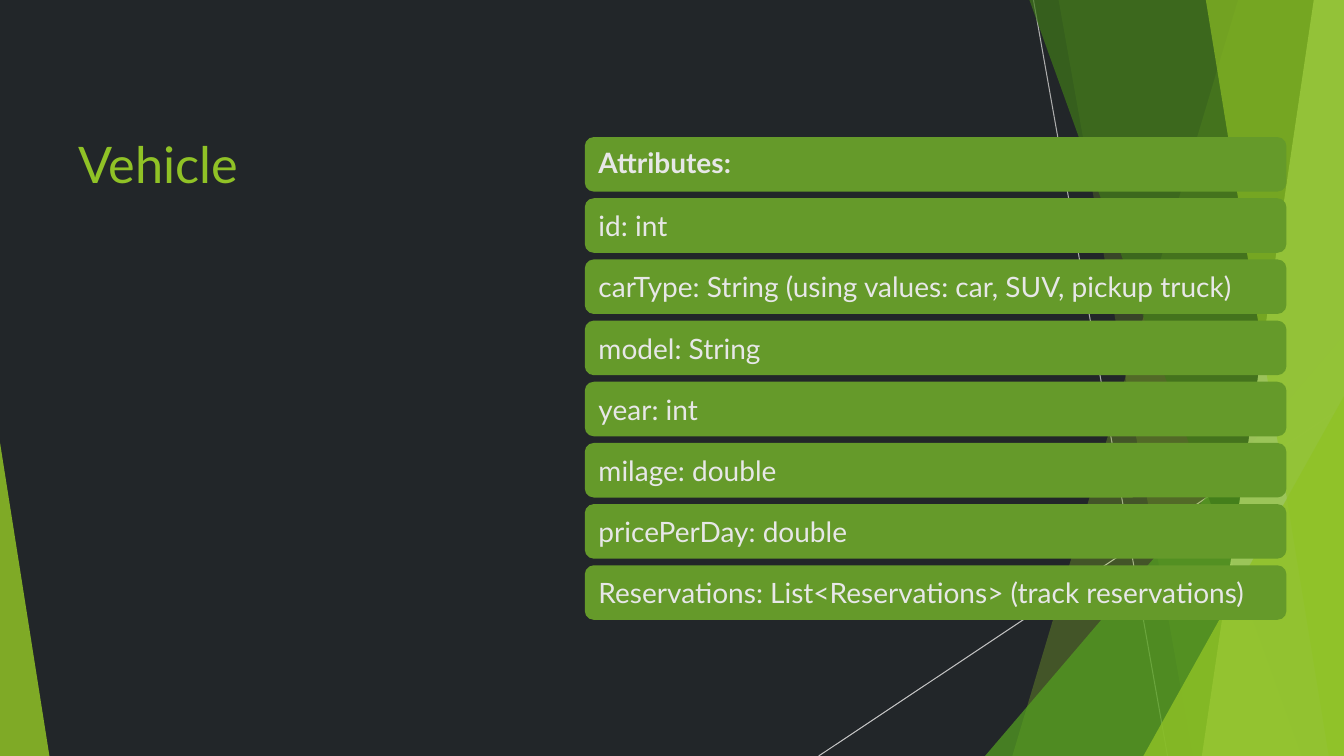
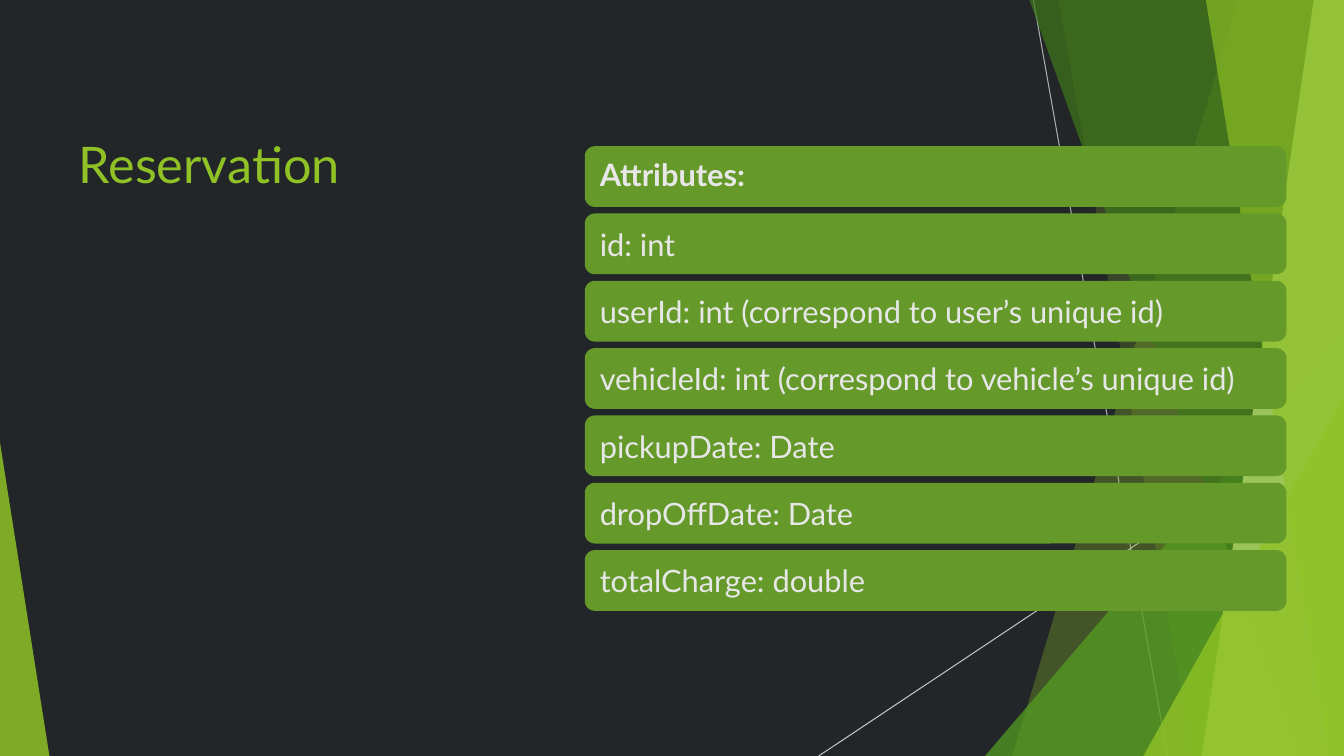
from pptx import Presentation
from pptx.dml.color import RGBColor
from pptx.enum.shapes import MSO_CONNECTOR, MSO_SHAPE
from pptx.enum.text import MSO_ANCHOR, PP_ALIGN
from pptx.oxml.ns import qn
from pptx.oxml.xmlchemy import OxmlElement
from pptx.util import Inches, Pt

SLIDE_WIDTH, SLIDE_HEIGHT = 13.33, 7.5
FONT = "Lato"
BACKGROUND = RGBColor(0x22, 0x26, 0x29)
LIME = RGBColor(0x90, 0xC2, 0x26)
GREEN = RGBColor(0x54, 0xA0, 0x21)
FOREST = RGBColor(0x3F, 0x78, 0x19)
PALE_LIME = RGBColor(0xC0, 0xE4, 0x74)
ROW_GREEN = RGBColor(0x65, 0x9A, 0x2A)
ROW_TEXT = RGBColor(0xE7, 0xE7, 0xE7)
STEEP_LINE = RGBColor(0xAD, 0xAD, 0xAD)
SHALLOW_LINE = RGBColor(0xC4, 0xC4, 0xC4)

TITLE_BOX = (0.68, 1.27, 3.94, 4.95)
ROW_GAP = 0.065

CLASSES = [
    {
        "title": "Vehicle",
        "box": (5.8, 1.36, 6.96, 4.79),
        "size": 20,
        "inset": 0.11,
        "attributes": [
            "id: int",
            "carType: String (using values: car, SUV, pickup truck)",
            "model: String",
            "year: int",
            "milage: double",
            "pricePerDay: double",
            "Reservations: List<Reservations> (track reservations)",
        ],
    },
    {
        "title": "Reservation",
        "box": (5.8, 1.45, 6.96, 4.61),
        "size": 22,
        "inset": 0.12,
        "attributes": [
            "id: int",
            "userId: int (correspond to user’s unique id)",
            "vehicleId: int (correspond to vehicle’s unique id)",
            "pickupDate: Date",
            "dropOffDate: Date",
            "totalCharge: double",
        ],
    },
]


def paint(shape, color, opacity=100):
    shape.shadow.inherit = False
    shape.line.fill.background()
    shape.fill.solid()
    shape.fill.fore_color.rgb = color
    if opacity < 100:
        alpha = OxmlElement("a:alpha")
        alpha.set("val", str(opacity * 1000))
        next(shape.element.iter(qn("a:srgbClr"))).append(alpha)


def add_line(slide, start, end, color):
    points = [Inches(value) for value in (*start, *end)]
    line = slide.shapes.add_connector(MSO_CONNECTOR.STRAIGHT, *points)
    line.line.color.rgb = color
    line.line.width = Pt(0.75)
    line.element.spPr.append(OxmlElement("a:effectLst"))


def add_band(slide, top_left, bottom_left, color, opacity):
    builder = slide.shapes.build_freeform(Inches(top_left), 0)
    corners = [(SLIDE_WIDTH, 0), (SLIDE_WIDTH, SLIDE_HEIGHT), (bottom_left, SLIDE_HEIGHT)]
    builder.add_line_segments([(Inches(x), Inches(y)) for x, y in corners])
    paint(builder.convert_to_shape(), color, opacity)


def add_corner(slide, left, top, width, apex, color, opacity):
    triangle = slide.shapes.add_shape(
        MSO_SHAPE.ISOSCELES_TRIANGLE,
        Inches(left), Inches(top), Inches(width), Inches(SLIDE_HEIGHT - top),
    )
    triangle.adjustments[0] = apex
    paint(triangle, color, opacity)


def add_facets(slide):
    add_line(slide, (10.25, 0), (11.58, SLIDE_HEIGHT), STEEP_LINE)
    add_line(slide, (SLIDE_WIDTH, 4.03), (8.12, SLIDE_HEIGHT), SHALLOW_LINE)
    add_band(slide, 12.28, 10.04, LIME, 30)
    add_band(slide, 10.5, 11.83, LIME, 20)
    add_corner(slide, 9.77, 3.33, 3.56, 1, GREEN, 72)
    add_band(slide, 10.21, 12.91, FOREST, 70)
    add_band(slide, 13.03, 11.92, PALE_LIME, 70)
    add_band(slide, 11.96, 13.18, LIME, 65)
    add_corner(slide, 11.34, 3.93, 1.99, 1, LIME, 80)
    add_corner(slide, 0, 4.39, 0.49, 0, LIME, 85)


def add_text(paragraph, text, size, color, bold=False):
    paragraph.alignment = PP_ALIGN.LEFT
    run = paragraph.add_run()
    run.text = text
    run.font.name = FONT
    run.font.size = Pt(size)
    run.font.bold = bold
    run.font.color.rgb = color


def add_title(slide, box, text):
    title = slide.shapes.add_textbox(*[Inches(value) for value in box])
    title.text_frame.word_wrap = True
    add_text(title.text_frame.paragraphs[0], text, 36, LIME)


def add_attribute_list(slide, box, attributes, size, inset):
    left, top, width, height = box
    rows = ["Attributes:", *attributes]
    row_height = (height - ROW_GAP * (len(rows) - 1)) / len(rows)
    for index, text in enumerate(rows):
        row_top = top + index * (row_height + ROW_GAP)
        row = slide.shapes.add_shape(
            MSO_SHAPE.ROUNDED_RECTANGLE,
            Inches(left), Inches(row_top), Inches(width), Inches(row_height),
        )
        paint(row, ROW_GREEN)
        frame = row.text_frame
        frame.word_wrap = True
        frame.vertical_anchor = MSO_ANCHOR.MIDDLE
        frame.margin_left = frame.margin_right = Inches(inset)
        frame.margin_top = frame.margin_bottom = 0
        is_header = index == 0
        paragraph = frame.paragraphs[0]
        if is_header:
            paragraph.line_spacing = 0.9
        add_text(paragraph, text, size, ROW_TEXT, is_header)


def add_class_slide(presentation, content):
    slide = presentation.slides.add_slide(presentation.slide_layouts[6])
    slide.background.fill.solid()
    slide.background.fill.fore_color.rgb = BACKGROUND
    add_facets(slide)
    add_title(slide, TITLE_BOX, content["title"])
    add_attribute_list(
        slide, content["box"], content["attributes"], content["size"], content["inset"]
    )


def main():
    presentation = Presentation()
    presentation.slide_width = Inches(SLIDE_WIDTH)
    presentation.slide_height = Inches(SLIDE_HEIGHT)
    for content in CLASSES:
        add_class_slide(presentation, content)
    presentation.save("out.pptx")


if __name__ == "__main__":
    main()
